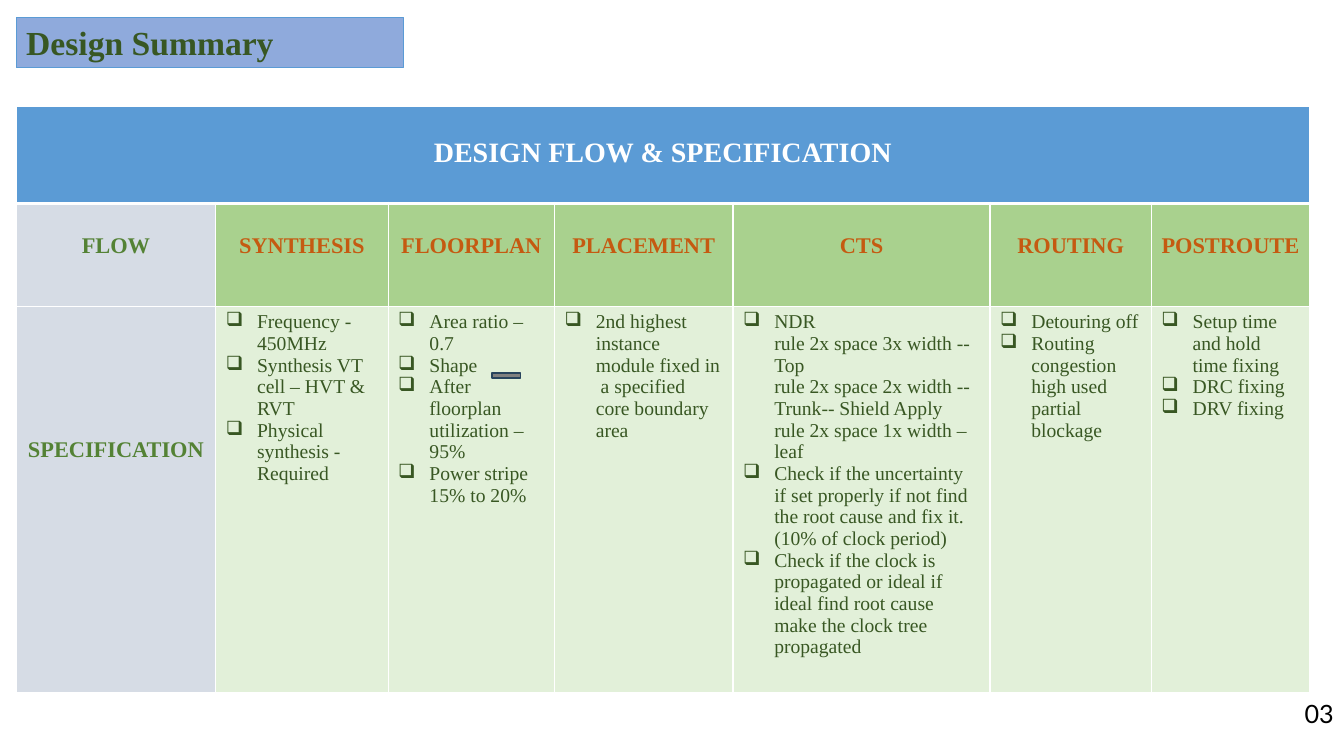
from lxml.etree import SubElement
from pptx import Presentation
from pptx.dml.color import RGBColor
from pptx.enum.shapes import MSO_SHAPE as Preset
from pptx.enum.text import MSO_ANCHOR as Anchor, MSO_AUTO_SIZE as AutoSize, PP_ALIGN as Align
from pptx.oxml.ns import qn
from pptx.util import Inches, Pt

WHITE = RGBColor(0xFF, 0xFF, 0xFF)
BLACK = RGBColor(0x00, 0x00, 0x00)
GREY = RGBColor(0x80, 0x80, 0x80)
NAVY = RGBColor(0x28, 0x44, 0x5D)
BLUE = RGBColor(0x5B, 0x9B, 0xD5)
PERIWINKLE = RGBColor(0x8F, 0xAA, 0xDC)
PALE_BLUE = RGBColor(0xD6, 0xDC, 0xE5)
GREEN = RGBColor(0xA9, 0xD1, 0x8E)
PALE_GREEN = RGBColor(0xE2, 0xF0, 0xD9)
MID_GREEN = RGBColor(0x54, 0x82, 0x35)
DARK_GREEN = RGBColor(0x38, 0x57, 0x23)
ORANGE = RGBColor(0xC5, 0x5A, 0x11)

SERIF = "Times New Roman"
INDENT = Inches(0.31)
COLUMN_WIDTHS = [1.98, 1.71, 1.65, 1.77, 2.55, 1.6, 1.57]
ROW_HEIGHTS = [0.96, 1.02, 3.83]

STAGES = {
    "SYNTHESIS": [
        "Frequency - 450MHz",
        "Synthesis VT cell – HVT & RVT",
        "Physical synthesis - Required",
    ],
    "FLOORPLAN": [
        "Area ratio – 0.7",
        "Shape",
        "After floorplan utilization – 95%",
        "Power stripe 15% to 20%",
    ],
    "PLACEMENT": ["2nd highest instance module fixed in  a specified core boundary area"],
    "CTS": [
        "NDR\nrule 2x space 3x width -- Top\n"
        "rule 2x space 2x width -- Trunk-- Shield Apply\n"
        "rule 2x space 1x width – leaf",
        "Check if the uncertainty if set properly if not find the root cause "
        "and fix it. (10% of clock period)",
        "Check if the clock is propagated or ideal if ideal find root cause "
        "make the clock tree propagated",
    ],
    "ROUTING": ["Detouring off", "Routing congestion high used partial blockage"],
    "POSTROUTE": ["Setup time and hold time fixing", "DRC fixing", "DRV fixing"],
}


def write(frame, lines, size, color, font=SERIF, bold=False, align=Align.LEFT, bullet=None):
    for index, line in enumerate(lines):
        paragraph = frame.add_paragraph() if index else frame.paragraphs[0]
        paragraph.text = line
        paragraph.alignment = align
        paragraph.line_spacing = 1.0
        for run in paragraph.runs:
            run.font.size = Pt(size)
            run.font.name = font
            run.font.bold = bold
            run.font.color.rgb = color
        if bullet:
            properties = paragraph._p.get_or_add_pPr()
            properties.set("marL", str(INDENT))
            properties.set("indent", str(-INDENT))
            SubElement(properties, qn("a:buChar"), char=bullet)


def paint(box, fill, line, width):
    box.fill.solid()
    box.fill.fore_color.rgb = fill
    box.line.color.rgb = line
    box.line.width = Pt(width)


def style_cell(cell, fill, top=1, bottom=1):
    properties = cell._tc.get_or_add_tcPr()
    for side, width in {"L": 1, "R": 1, "T": top, "B": bottom}.items():
        border = SubElement(properties, qn(f"a:ln{side}"), w=str(Pt(width)))
        solid = SubElement(border, qn("a:solidFill"))
        SubElement(solid, qn("a:srgbClr"), val=str(WHITE))
    cell.fill.solid()
    cell.fill.fore_color.rgb = fill


def write_heading(cell, heading, color, size=16, top=0.3):
    cell.margin_top = Inches(top)
    write(cell.text_frame, [heading], size, color, bold=True, align=Align.CENTER)


def add_title(slide, heading):
    title = slide.shapes.title
    title.left, title.top = Inches(0.16), Inches(0.17)
    title.width, title.height = Inches(3.84), Inches(0.5)
    paint(title, PERIWINKLE, BLUE, 0.75)
    title.text_frame.auto_size = AutoSize.NONE
    title.text_frame.vertical_anchor = Anchor.MIDDLE
    write(title.text_frame, [heading], 24, DARK_GREEN, bold=True)


def add_flow_table(slide):
    flow = slide.shapes.add_table(
        len(ROW_HEIGHTS), len(COLUMN_WIDTHS),
        Inches(0.16), Inches(1.06), Inches(sum(COLUMN_WIDTHS)), Inches(sum(ROW_HEIGHTS)),
    ).table
    flow.first_row = flow.horz_banding = False
    for column, width in zip(flow.columns, COLUMN_WIDTHS):
        column.width = Inches(width)
    for row, height in zip(flow.rows, ROW_HEIGHTS):
        row.height = Inches(height)

    for column in range(len(COLUMN_WIDTHS)):
        style_cell(flow.cell(0, column), BLUE, bottom=3)
        style_cell(flow.cell(1, column), GREEN if column else PALE_BLUE, top=3)
        style_cell(flow.cell(2, column), PALE_GREEN if column else PALE_BLUE)

    flow.cell(0, 0).merge(flow.cell(0, len(COLUMN_WIDTHS) - 1))
    write_heading(flow.cell(0, 0), "DESIGN FLOW & SPECIFICATION", WHITE, size=20)
    write_heading(flow.cell(1, 0), "FLOW", MID_GREEN)
    write_heading(flow.cell(2, 0), "SPECIFICATION", MID_GREEN, top=1.3)
    for column, (stage, details) in enumerate(STAGES.items(), start=1):
        write_heading(flow.cell(1, column), stage, ORANGE)
        write(flow.cell(2, column).text_frame, details, 14, DARK_GREEN, bullet="❑")


def add_page_number(slide, number):
    frame = slide.shapes.add_textbox(
        Inches(12.84), Inches(6.88), Inches(0.5), Inches(0.4)).text_frame
    frame.word_wrap = False
    write(frame, [number], 18, BLACK, font="Lato")


def add_floorplan_shape(slide):
    bar = slide.shapes.add_shape(
        Preset.RECTANGLE, Inches(4.88), Inches(3.7), Inches(0.28), Inches(0.05))
    bar.shadow.inherit = False
    paint(bar, GREY, NAVY, 1)


def main():
    deck = Presentation()
    deck.slide_width, deck.slide_height = Inches(13.33), Inches(7.5)
    slide = deck.slides.add_slide(deck.slide_layouts.get_by_name("Title Only"))
    add_title(slide, "Design Summary")
    add_flow_table(slide)
    add_page_number(slide, "03")
    add_floorplan_shape(slide)
    deck.save("out.pptx")


if __name__ == "__main__":
    main()
